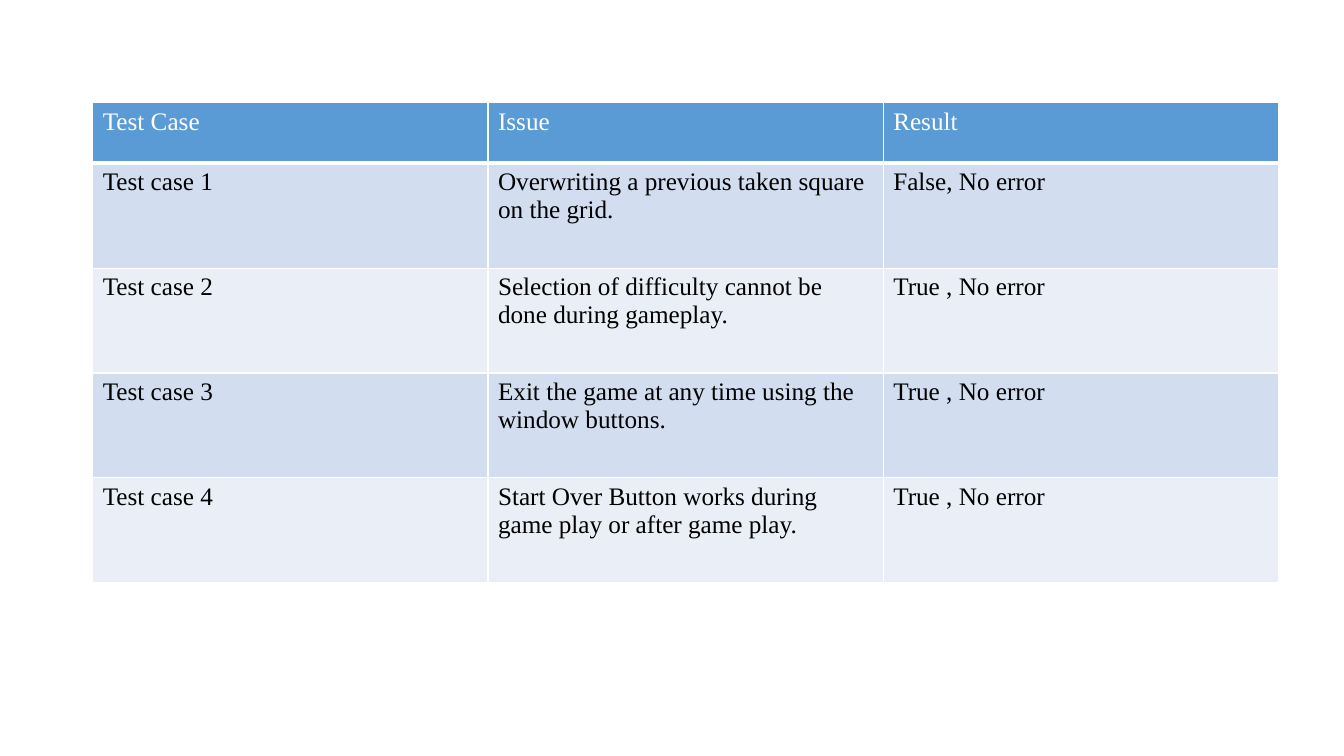
from dataclasses import dataclass

from lxml.etree import SubElement
from pptx import Presentation
from pptx.dml.color import RGBColor
from pptx.oxml.ns import qn
from pptx.util import Inches, Pt


@dataclass(frozen=True)
class Theme:
    font: str = "Times New Roman"
    size: int = 18
    header_fill: str = "5B9BD5"
    band_fills: tuple = ("D2DEEF", "EAEFF7")
    header_text: str = "FFFFFF"
    body_text: str = "000000"
    border: str = "FFFFFF"


THEME = Theme()
ROWS = [
    ("Test Case", "Issue", "Result"),
    ("Test case 1", "Overwriting a previous taken square on the grid.", "False, No error"),
    ("Test case 2", "Selection of difficulty cannot be done during gameplay.", "True , No error"),
    ("Test case 3", "Exit the game at any time using the window buttons.", "True , No error"),
    ("Test case 4", "Start Over Button works during game play or after game play.", "True , No error"),
]
HEADER_HEIGHT, BODY_HEIGHT, COLUMN_WIDTH = 0.6, 1.04, 3.92


def set_borders(cell, bottom_width):
    tcPr = cell._tc.get_or_add_tcPr()
    for i, side in enumerate(("lnL", "lnR", "lnT", "lnB")):
        width = bottom_width if side == "lnB" else 1
        line = tcPr.makeelement(qn(f"a:{side}"), {"w": str(Pt(width))})
        fill = SubElement(line, qn("a:solidFill"))
        SubElement(fill, qn("a:srgbClr"), val=THEME.border)
        tcPr.insert(i, line)


prs = Presentation()
prs.slide_width, prs.slide_height = Inches(13.33), Inches(7.5)
s = prs.slides.add_slide(prs.slide_layouts[6])

columns = len(ROWS[0])
height = HEADER_HEIGHT + BODY_HEIGHT * (len(ROWS) - 1)
table = s.shapes.add_table(
    len(ROWS), columns, Inches(0.92), Inches(1.02),
    Inches(COLUMN_WIDTH * columns), Inches(height),
).table
for column in table.columns:
    column.width = Inches(COLUMN_WIDTH)

for i, texts in enumerate(ROWS):
    header = i == 0
    table.rows[i].height = Inches(HEADER_HEIGHT if header else BODY_HEIGHT)
    fill = THEME.header_fill if header else THEME.band_fills[(i - 1) % 2]
    color = THEME.header_text if header else THEME.body_text
    for j, text in enumerate(texts):
        cell = table.cell(i, j)
        cell.text = text
        cell.fill.solid()
        cell.fill.fore_color.rgb = RGBColor.from_string(fill)
        set_borders(cell, 3 if header else 1)
        p = cell.text_frame.paragraphs[0]
        p.font.name = THEME.font
        p.font.size = Pt(THEME.size)
        p.font.bold = False
        p.font.color.rgb = RGBColor.from_string(color)

prs.save("out.pptx")
